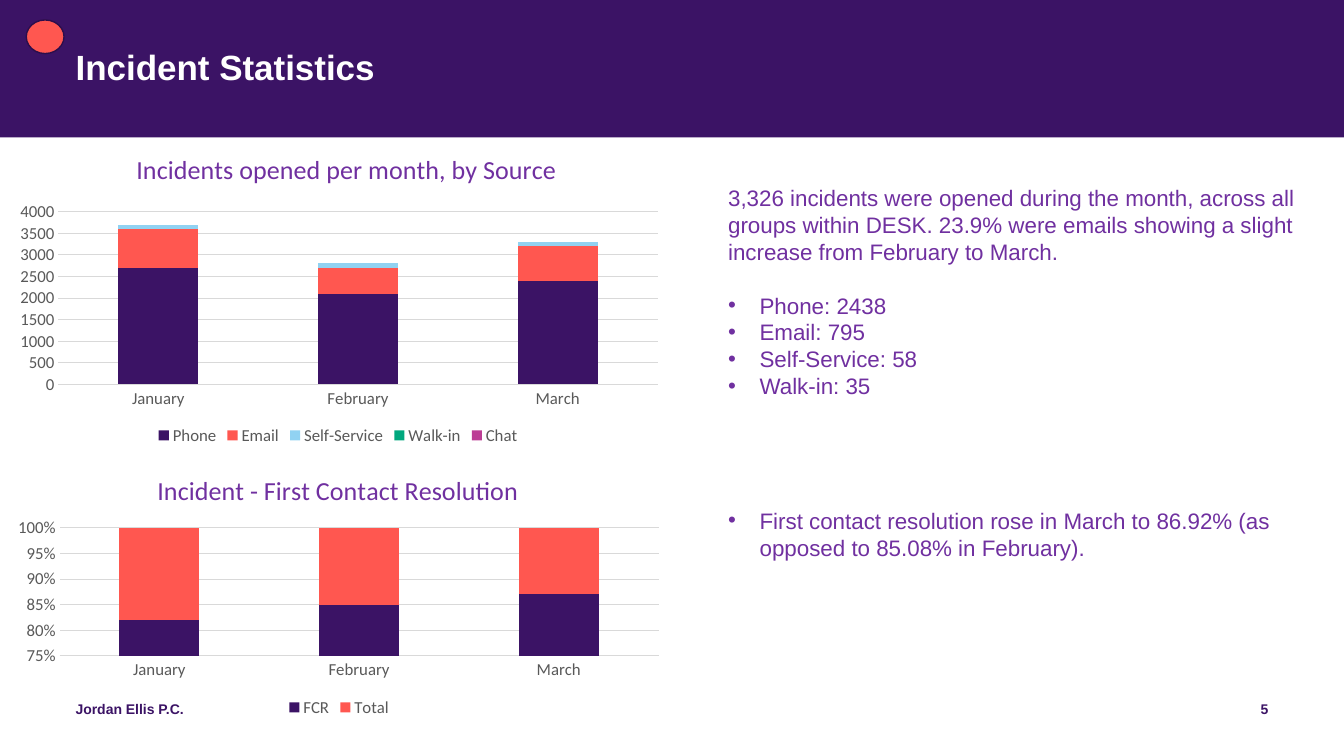
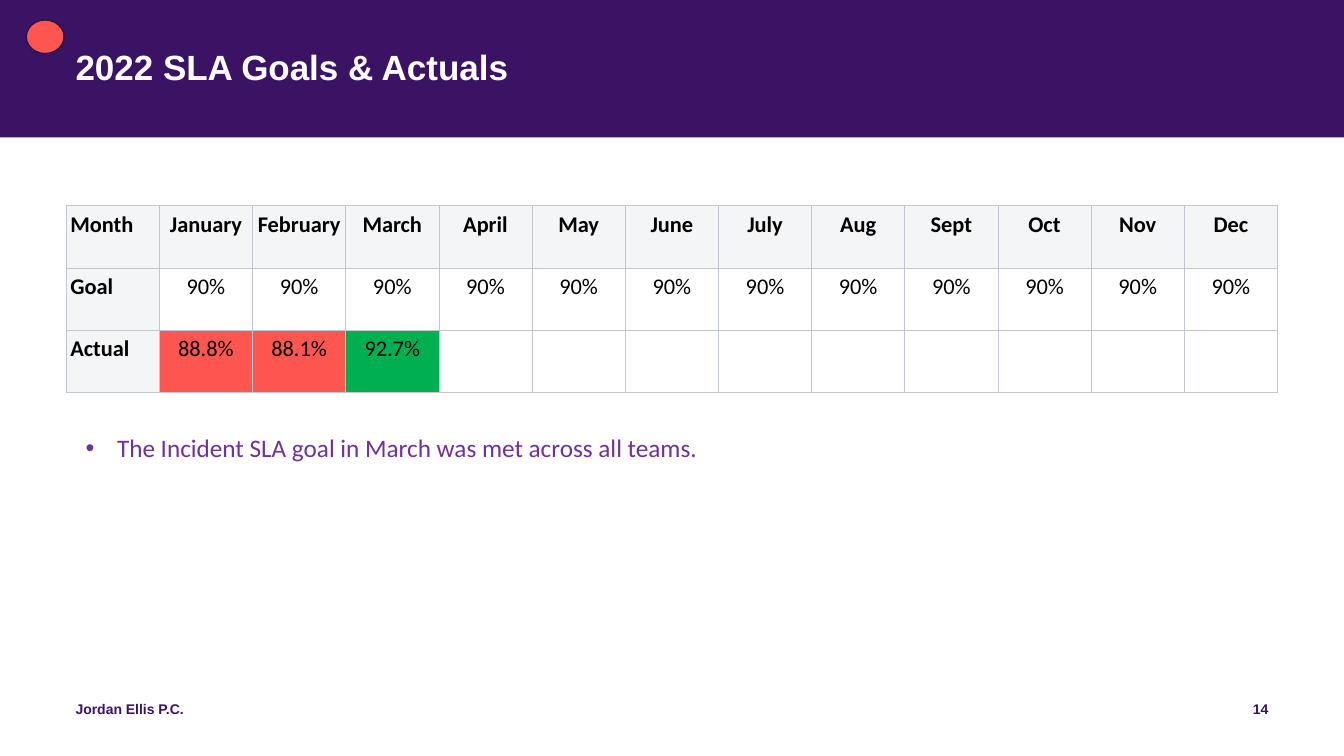
from dataclasses import dataclass

from lxml.etree import SubElement
from pptx import Presentation
from pptx.chart.data import CategoryChartData
from pptx.dml.color import RGBColor
from pptx.enum.chart import XL_CHART_TYPE, XL_LEGEND_POSITION, XL_TICK_MARK
from pptx.enum.shapes import MSO_SHAPE
from pptx.enum.text import MSO_ANCHOR, MSO_AUTO_SIZE, PP_ALIGN
from pptx.oxml import parse_xml
from pptx.oxml.ns import nsdecls, qn
from pptx.util import Pt


@dataclass(frozen=True)
class Theme:
    plum: str = "3B1365"
    coral: str = "FF5750"
    sky: str = "91D2F2"
    teal: str = "00A87E"
    pink: str = "BC3D95"
    green: str = "00B050"
    violet: str = "7030A0"
    edge: str = "2C0E4B"
    white: str = "FFFFFF"
    black: str = "000000"
    gray: str = "595959"
    grid: str = "D9D9D9"
    rule: str = "C1C7D0"
    pale: str = "F4F5F7"
    sans: str = "Arial"
    plain: str = "Calibri"
    head: float = 25
    chart: float = 18.6
    note: float = 18
    body: float = 16
    label: float = 12
    foot: float = 10


T = Theme()
MONTHS = ["January", "February", "March"]


def px(n):
    return n * 9525


def rgb(code):
    return RGBColor.from_string(code)


def style(font, size, color, face, bold=False):
    font.size = Pt(size)
    font.color.rgb = rgb(color)
    font.name = face
    font.bold = bold


def paint(para, *look):
    for run in para.runs:
        style(run.font, *look)


def inset(frame, side, ends):
    frame.margin_left = frame.margin_right = px(side)
    frame.margin_top = frame.margin_bottom = px(ends)


def add_text(slide, box, text, *look, align=PP_ALIGN.LEFT, flush=False):
    frame = slide.shapes.add_textbox(*map(px, box)).text_frame
    frame.word_wrap = True
    frame.text = text
    if flush:
        inset(frame, 0, 0)
    for para in frame.paragraphs:
        para.alignment = align
        paint(para, *look)
    return frame


def bullet(para, before=0):
    para.space_before = Pt(before)
    props = para._p.get_or_add_pPr()
    props.set("marL", str(px(30)))
    props.set("indent", str(-px(30)))
    SubElement(props, qn("a:buFont")).set("typeface", T.sans)
    SubElement(props, qn("a:buChar")).set("char", "•")


def add_form(slide, kind, box, fill, line=None):
    form = slide.shapes.add_shape(kind, *map(px, box))
    form.shadow.inherit = False
    form.fill.solid()
    form.fill.fore_color.rgb = rgb(fill)
    if line:
        form.line.color.rgb = rgb(line)
        form.line.width = Pt(1)
    else:
        form.line.fill.background()
    return form


def add_band(deck, layout):
    for mark in list(layout.placeholders):
        if mark.placeholder_format.idx >= 10:
            mark.element.getparent().remove(mark.element)
    slide = deck.slides[0]
    band = add_form(slide, MSO_SHAPE.RECTANGLE, (0, 0, 1280, 131), T.plum)
    layout.shapes.element.insert(2, band.element)


def set_title(slide, text):
    title = slide.shapes.title
    title.left, title.top, title.width, title.height = map(px, (72, 48, 1136, 78))
    frame = title.text_frame
    frame.text = text
    frame.auto_size = MSO_AUTO_SIZE.NONE
    frame.vertical_anchor = MSO_ANCHOR.TOP
    inset(frame, 0, 0)
    para = frame.paragraphs[0]
    para.alignment = PP_ALIGN.LEFT
    para.line_spacing = 0.9
    paint(para, T.head, T.white, T.sans, True)


def add_frame(slide, title, page):
    set_title(slide, title)
    look = (T.foot, T.plum, T.sans, True)
    add_text(slide, (72, 667, 432, 38), "Jordan Ellis P.C.", *look, flush=True)
    add_text(slide, (920, 667, 288, 38), page, *look,
             align=PP_ALIGN.RIGHT, flush=True)
    add_form(slide, MSO_SHAPE.OVAL, (25, 19, 36, 32), T.coral, T.edge)


def place(node, index, **spots):
    old = node.find(qn("c:layout"))
    if old is not None:
        node.remove(old)
    layout = node.makeelement(qn("c:layout"))
    node.insert(index, layout)
    manual = SubElement(layout, qn("c:manualLayout"))
    if "w" in spots:
        SubElement(manual, qn("c:layoutTarget")).set("val", "inner")
    for key in "xy":
        SubElement(manual, qn(f"c:{key}Mode")).set("val", "edge")
    for key, val in spots.items():
        SubElement(manual, qn(f"c:{key}")).set("val", str(val))


def set_axis(axis):
    axis.major_tick_mark = axis.minor_tick_mark = XL_TICK_MARK.NONE
    style(axis.tick_labels.font, T.label, T.gray, T.plain)


def set_line(line):
    line.color.rgb = rgb(T.grid)
    line.width = Pt(0.75)


def set_scale(axis, low, high, step, form):
    set_axis(axis)
    axis.minimum_scale, axis.maximum_scale, axis.major_unit = low, high, step
    axis.tick_labels.number_format = form
    axis.tick_labels.number_format_is_linked = False
    axis.format.line.fill.background()
    set_line(axis.major_gridlines.format.line)


def add_stack(slide, kind, box, title, rows, scale, head, plot):
    data = CategoryChartData()
    data.categories = MONTHS
    for name, vals, color in rows:
        data.add_series(name, vals)
    chart = slide.shapes.add_chart(kind, *map(px, box), data).chart
    style(chart.font, T.foot, T.black, T.plain)
    chart.has_title = True
    frame = chart.chart_title.text_frame
    frame.text = title
    paint(frame.paragraphs[0], T.chart, T.violet, T.plain)
    place(chart.chart_title._element, 1, **head)
    place(chart.plots[0]._element.getparent(), 0, **plot)
    chart.has_legend = True
    chart.legend.position = XL_LEGEND_POSITION.BOTTOM
    chart.legend.include_in_layout = False
    style(chart.legend.font, T.label, T.gray, T.plain)
    set_axis(chart.category_axis)
    set_line(chart.category_axis.format.line)
    set_scale(chart.value_axis, *scale)
    bars = chart.plots[0]
    bars.gap_width, bars.overlap = 150, 100
    bars.vary_by_categories = False
    for series, (name, vals, color) in zip(bars.series, rows):
        series.invert_if_negative = False
        series.format.fill.solid()
        series.format.fill.fore_color.rgb = rgb(color)


def add_edge(cell):
    props = cell._tc.get_or_add_tcPr()
    for index, side in enumerate("LRTB"):
        props.insert(index, parse_xml(
            f'<a:ln{side} {nsdecls("a")} w="6350"><a:solidFill>'
            f'<a:srgbClr val="{T.rule}"/></a:solidFill></a:ln{side}>'))


def set_cell(cell, text, fill, bold, align):
    cell.text = text
    inset(cell, 4, 5)
    para = cell.text_frame.paragraphs[0]
    para.alignment = align
    paint(para, T.body, T.black, T.plain, bold)
    if fill:
        cell.fill.solid()
        cell.fill.fore_color.rgb = rgb(fill)
    else:
        cell.fill.background()
    add_edge(cell)


def add_grid(slide, box, rows, fills):
    count = len(rows[0])
    table = slide.shapes.add_table(len(rows), count, *map(px, box)).table
    table.first_row = table.horz_banding = False
    for col in table.columns:
        col.width = px(box[2]) // count
    for r, row in enumerate(rows):
        table.rows[r].height = px(box[3]) // len(rows)
        for c, text in enumerate(row):
            head = r == 0 or c == 0
            fill = T.pale if head else fills.get((r, c))
            align = PP_ALIGN.CENTER if c else PP_ALIGN.LEFT
            set_cell(table.cell(r, c), text, fill, head, align)


def fill_stats(slide):
    add_frame(slide, "Incident Statistics", "5")
    add_stack(
        slide, XL_CHART_TYPE.COLUMN_STACKED, (5, 134, 634, 294),
        "Incidents opened per month, by Source",
        [("Phone", (2700, 2100, 2400), T.plum),
         ("Email", (900, 600, 800), T.coral),
         ("Self-Service", (100, 100, 100), T.sky),
         ("Walk-in", (0, 0, 0), T.teal),
         ("Chat", (0, 0, 0), T.pink)],
        (0, 4000, 500, "0"),
        dict(x=0.19, y=0.02), dict(x=0.08, y=0.23, w=0.9, h=0.56))
    add_stack(
        slide, XL_CHART_TYPE.COLUMN_STACKED_100, (6, 438, 634, 249),
        "Incident - First Contact Resolution",
        [("FCR", (82, 85, 87), T.plum), ("Total", (18, 15, 13), T.coral)],
        (0.75, 1, 0.05, "0%"),
        dict(x=0.22, y=0.03), dict(x=0.08, y=0.26, w=0.9, h=0.49))
    lines = [
        "3,326 incidents were opened during the month, across all groups within "
        "DESK. 23.9% were emails showing a slight increase from February to March.",
        "Phone: 2438", "Email: 795", "Self-Service: 58", "Walk-in: 35",
        "First contact resolution rose in March to 86.92% "
        "(as opposed to 85.08% in February)."]
    frame = add_text(slide, (684, 171, 590, 475), "\n".join(lines),
                     T.body, T.violet, T.sans)
    for para, before in zip(frame.paragraphs[1:], (19, 0, 0, 0, 77)):
        bullet(para, before)


def fill_goals(slide):
    add_frame(slide, "2022 SLA Goals & Actuals", "14")
    rows = [
        ["Month", *MONTHS, "April", "May", "June", "July",
         "Aug", "Sept", "Oct", "Nov", "Dec"],
        ["Goal"] + ["90%"] * 12,
        ["Actual", "88.8%", "88.1%", "92.7%"] + [""] * 9]
    fills = {(2, 1): T.coral, (2, 2): T.coral, (2, 3): T.green}
    add_grid(slide, (63, 196, 1154, 178), rows, fills)
    frame = add_text(slide, (72, 407, 1136, 38),
                     "The Incident SLA goal in March was met across all teams.",
                     T.note, T.violet, T.plain)
    bullet(frame.paragraphs[0])


def main():
    deck = Presentation()
    deck.slide_width, deck.slide_height = px(1280), px(720)
    layout = deck.slide_layouts[5]
    stats, goals = [deck.slides.add_slide(layout) for _ in range(2)]
    add_band(deck, layout)
    fill_stats(stats)
    fill_goals(goals)
    deck.save("out.pptx")


if __name__ == "__main__":
    main()
